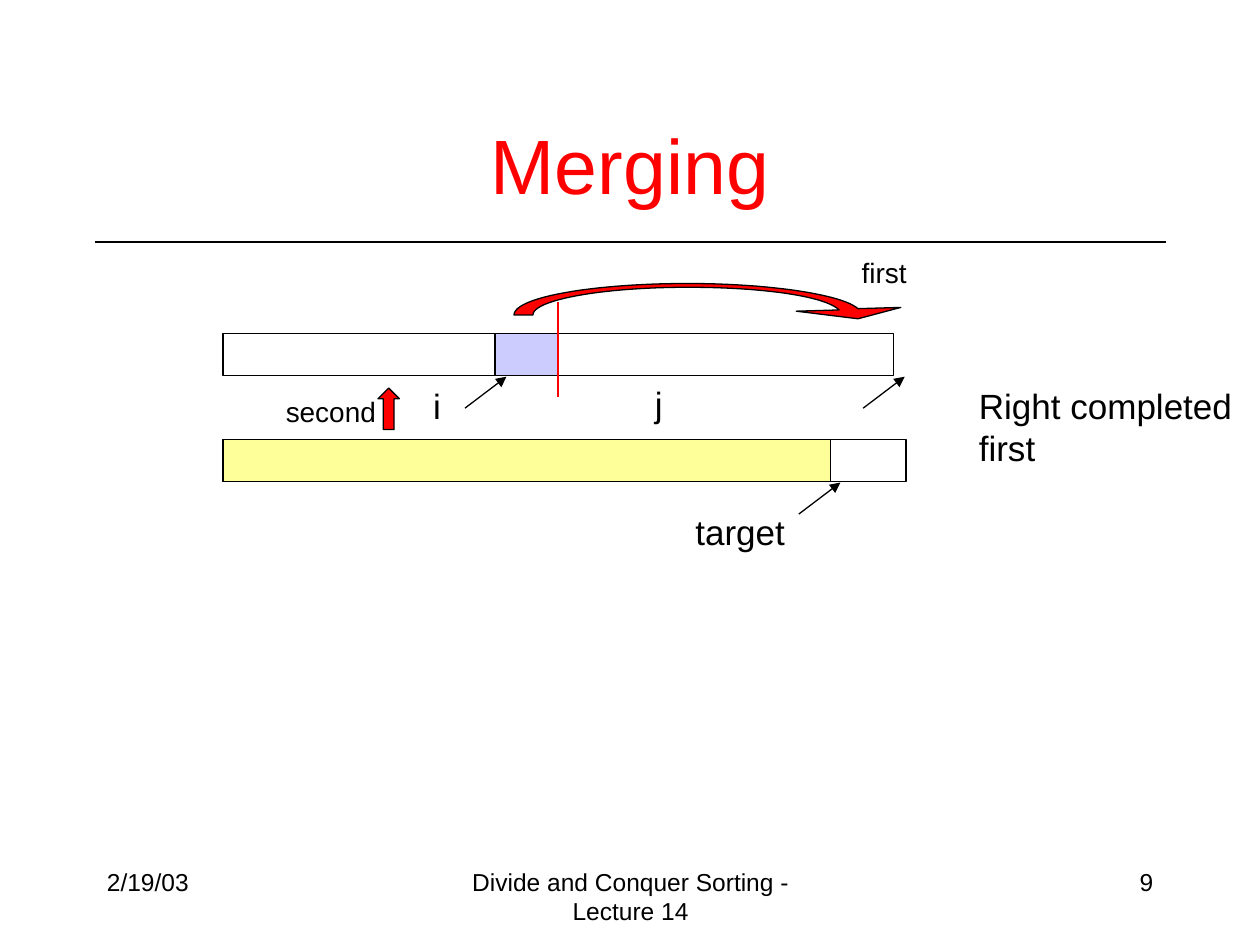
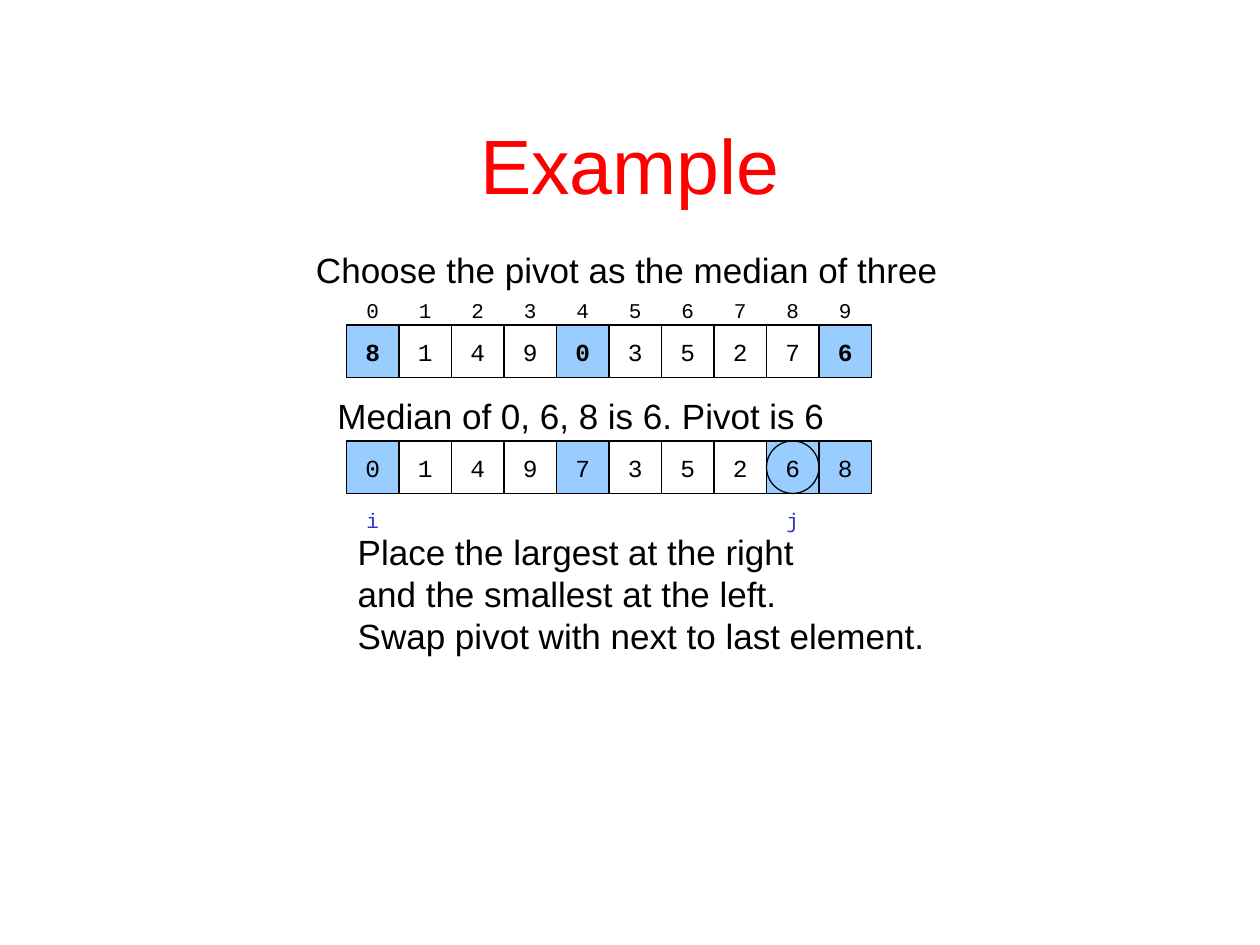
import collections
import lxml.etree
import pptx
import pptx.dml.color
import pptx.enum.shapes
import pptx.enum.text
import pptx.oxml.ns
import pptx.util

Box = collections.namedtuple("Box", "left top width height")
SHAPES = pptx.enum.shapes.MSO_SHAPE
ALIGN = pptx.enum.text.PP_ALIGN
ANCHOR = pptx.enum.text.MSO_ANCHOR
AUTO_SIZE = pptx.enum.text.MSO_AUTO_SIZE
Inches = pptx.util.Inches
Pt = pptx.util.Pt

COLOURS = {
    "ink": "000000",
    "red": "FF0000",
    "lavender": "CCCCFF",
    "yellow": "FFFF99",
    "sky": "99CCFF",
    "index": "3333CC",
}
FONTS = {
    "title": {"name": "Arial", "size": Pt(44)},
    "footer": {"name": "Arial", "size": Pt(14)},
    "label": {"name": "Arial", "size": Pt(20)},
    "step": {"name": "Arial", "size": Pt(16)},
    "value": {"name": "Courier New", "size": Pt(14)},
    "pivot": {"name": "Courier New", "size": Pt(14), "bold": True},
    "index": {"name": "Courier New", "size": Pt(12)},
}
LABEL_FRAME = {"word_wrap": False, "auto_size": AUTO_SIZE.SHAPE_TO_FIT_TEXT}
CELL_FRAME = {"word_wrap": False, "vertical_anchor": ANCHOR.MIDDLE}

TITLE_BOX = Box(0.75, 0.67, 8.5, 1.25)
FOOTER_BOX = Box(0.75, 6.83, 8.5, 0.5)
CELL = 5 / 12


def colour(name):
    return pptx.dml.color.RGBColor.from_string(COLOURS[name])


def inside(box, left, top, width, height):
    return Box(box.left + left, box.top + top, width, height)


def set_values(target, values):
    for name, value in values.items():
        setattr(target, name, value)


def write(shape, lines, font, ink="ink", align=ALIGN.LEFT, frame_values=LABEL_FRAME):
    frame = shape.text_frame
    set_values(frame, frame_values)
    for number, line in enumerate(lines):
        para = frame.add_paragraph() if number else frame.paragraphs[0]
        para.text = line
        para.alignment = align
        for span in para.runs:
            set_values(span.font, FONTS[font])
            span.font.color.rgb = colour(ink)


def add_text(page, box, *lines, **style):
    shape = page.shapes.add_textbox(*map(Inches, box))
    write(shape, lines, **style)


def paint(shape, fill=None):
    shape.shadow.inherit = False
    if fill:
        shape.fill.solid()
        shape.fill.fore_color.rgb = colour(fill)
    else:
        shape.fill.background()
    shape.line.color.rgb = colour("ink")
    shape.line.width = Pt(0.75)


def add_block(page, box, fill=None, kind=SHAPES.RECTANGLE):
    shape = page.shapes.add_shape(kind, *map(Inches, box))
    paint(shape, fill)
    return shape


def add_line(page, start, end, ink="ink", weight=0.75, arrow=False):
    line = page.shapes.add_connector(
        pptx.enum.shapes.MSO_CONNECTOR.STRAIGHT, *map(Inches, start + end))
    line.line.color.rgb = colour(ink)
    line.line.width = Pt(weight)
    if arrow:
        lxml.etree.SubElement(
            line.line._get_or_add_ln(), pptx.oxml.ns.qn("a:tailEnd"), type="triangle")
    lxml.etree.SubElement(line._element.spPr, pptx.oxml.ns.qn("a:effectLst"))


def curve(start, first, second, end, steps=24):
    for step in range(1, steps + 1):
        t = step / steps
        weights = (1 - t) ** 3, 3 * t * (1 - t) ** 2, 3 * t * t * (1 - t), t ** 3
        corners = zip(start, first, second, end)
        yield tuple(sum(w * c for w, c in zip(weights, axis)) for axis in corners)


def add_curved_arrow(page, box):
    inner_tip, inner_top, inner_end = (2.58, 0.21), (1.38, 0.03), (0.15, 0.25)
    outer_end, outer_top, outer_tip = (0, 0.25), (1.38, 0), (2.73, 0.2)
    outline = [
        inner_tip,
        *curve(inner_tip, (2.47, 0.1), (1.97, 0.03), inner_top),
        *curve(inner_top, (0.7, 0.03), (0.15, 0.13), inner_end),
        outer_end,
        *curve(outer_end, (0, 0.11), (0.62, 0), outer_top),
        *curve(outer_top, (2.04, 0), (2.61, 0.09), outer_tip),
        (3.07, 0.19), (2.73, 0.28), (2.24, 0.22),
    ]
    points = [(Inches(box.left + x), Inches(box.top + y)) for x, y in outline]
    builder = page.shapes.build_freeform(*points[0], scale=1.0)
    builder.add_line_segments(points[1:], close=True)
    paint(builder.convert_to_shape(), "red")


def add_title(page, box, title):
    add_text(page, box, title, font="title", ink="red", align=ALIGN.CENTER,
             frame_values={"word_wrap": True, "vertical_anchor": ANCHOR.MIDDLE})


def add_footer(page, box, date, lecture, number):
    parts = [
        (date, 0, 2.08, ALIGN.LEFT),
        (lecture, 2.67, 3.17, ALIGN.CENTER),
        (number, 6.42, 2.08, ALIGN.RIGHT),
    ]
    for text, left, width, align in parts:
        add_text(page, inside(box, left, 0, width, box.height), text,
                 font="footer", align=align, frame_values={"word_wrap": True})


def add_merge_diagram(page, box):
    bar, middle, source_top, target_top = 0.33, 2.66, 0.67, 1.51
    for left, top, width, fill in [
        (0, source_top, middle, None),
        (middle, source_top, middle, None),
        (0, target_top, 5.42, None),
        (middle - 0.5, source_top, 0.5, "lavender"),
        (0, target_top, 4.82, "yellow"),
    ]:
        add_block(page, inside(box, left, top, width, bar), fill)

    divider = box.left + middle
    add_line(page, (divider, box.top + 0.42), (divider, box.top + 1.17), "red", 1.5)
    for x, y in [(2.25, 1.01), (4.9, 1.85), (5.41, 1.01)]:
        tip = box.left + x, box.top + y
        add_line(page, (tip[0] - 0.33, tip[1] + 0.25), tip, arrow=True)

    add_block(page, inside(box, 1.23, 1.1, 0.17, bar), "red", SHAPES.UP_ARROW)
    add_curved_arrow(page, inside(box, 2.31, 0.27, 2.75, 0.5))

    for lines, font, left, top, width, height in [
        (["i"], "label", 1.57, 1.02, 0.26, 0.44),
        (["j"], "label", 3.33, 1.01, 0.26, 0.44),
        (["target"], "label", 3.65, 2.02, 0.91, 0.44),
        (["Right completed", "first"], "label", 5.9, 1.02, 2.21, 1.1),
        (["first"], "step", 4.97, 0, 0.6, 0.37),
        (["second"], "step", 0.4, 1.1, 0.96, 0.37),
    ]:
        add_text(page, inside(box, left, top, width, height), *lines, font=font)


def cell_box(box, column):
    return inside(box, column * CELL, 0, CELL, CELL)


def add_array(page, box, values, marked, marked_font):
    for column, value in enumerate(values):
        chosen = column in marked
        cell = add_block(page, cell_box(box, column), "sky" if chosen else None)
        write(cell, [value], marked_font if chosen else "value",
              align=ALIGN.CENTER, frame_values=CELL_FRAME)


def add_indices(page, box, names, ink="ink"):
    for column, name in names.items():
        add_text(page, cell_box(box, column), name, font="index", ink=ink,
                 align=ALIGN.CENTER, frame_values=CELL_FRAME)


def add_pivot_example(page, box):
    before = inside(box, 0.34, 0.66, 10 * CELL, CELL)
    after = inside(box, 0.34, 1.58, 10 * CELL, CELL)
    add_array(page, before, "8149035276", {0, 4, 9}, "pivot")
    add_indices(page, inside(before, 0, -0.33, before.width, CELL),
                dict(enumerate("0123456789")))
    add_array(page, after, "0149735268", {0, 4, 8, 9}, "value")
    add_block(page, cell_box(after, 8), kind=SHAPES.OVAL)
    add_indices(page, inside(after, 0, CELL, after.width, CELL),
                {0: "i", 8: "j"}, "index")

    add_text(page, inside(box, 0.33, 2.24, 4.75, 1.1),
             "Place the largest at the right\vand the smallest at the left.",
             "Swap pivot with next to last element.", font="label")
    add_text(page, inside(box, 0.17, 1.16, 4.67, 0.44),
             "Median of 0, 6, 8 is 6. Pivot is 6", font="label",
             frame_values={"word_wrap": True})
    add_text(page, inside(box, 0, 0, box.width, 0.44),
             "Choose the pivot as the median of three", font="label")


def build_merging(page):
    add_line(page, (0.75, 1.92), (9.25, 1.92))
    add_footer(page, FOOTER_BOX, "2/19/03", "Divide and Conquer Sorting - Lecture 14", "9")
    add_title(page, TITLE_BOX, "Merging")
    add_merge_diagram(page, Box(1.77, 1.98, 8.11, 2.46))


def build_example(page):
    add_title(page, TITLE_BOX, "Example")
    add_pivot_example(page, Box(2.41, 1.92, 5.2, 3.68))


def main():
    deck = pptx.Presentation()
    deck.slide_width, deck.slide_height = Inches(10), Inches(7.5)
    for build in (build_merging, build_example):
        build(deck.slides.add_slide(deck.slide_layouts[6]))
    deck.save("out.pptx")


if __name__ == "__main__":
    main()
